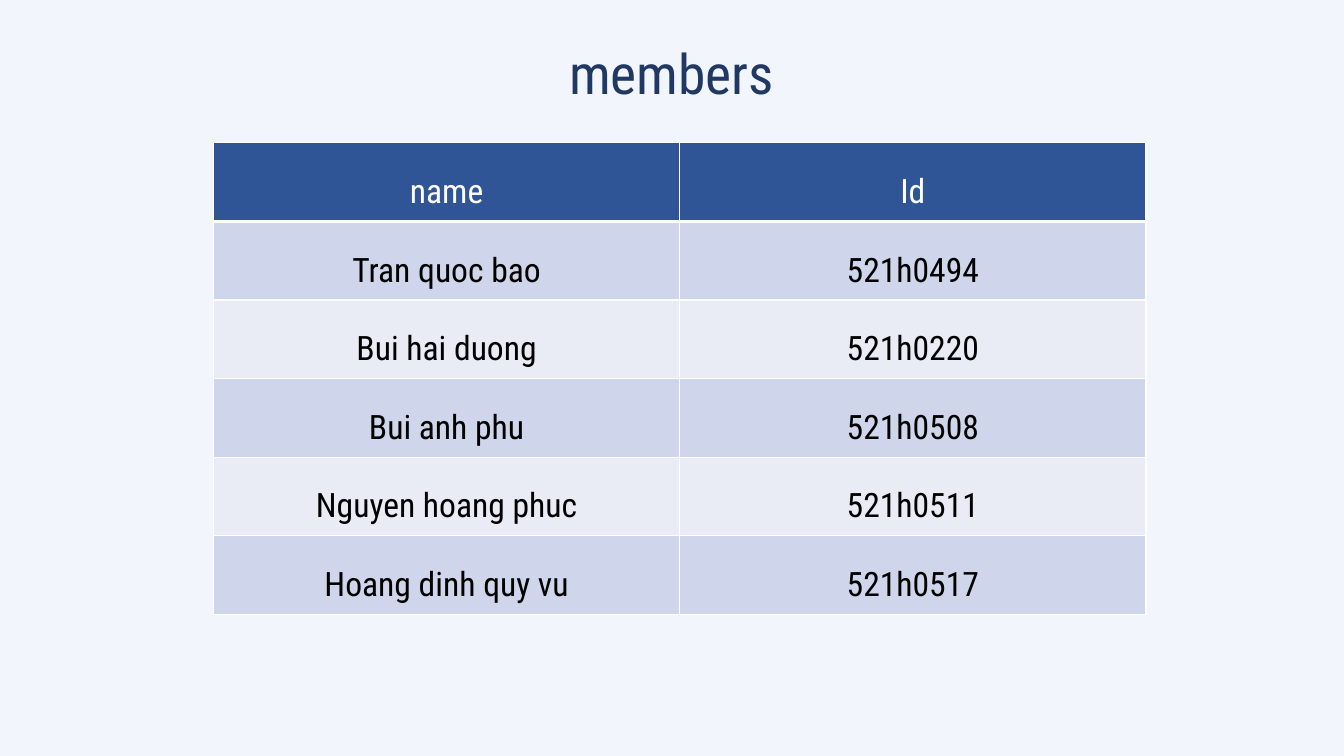
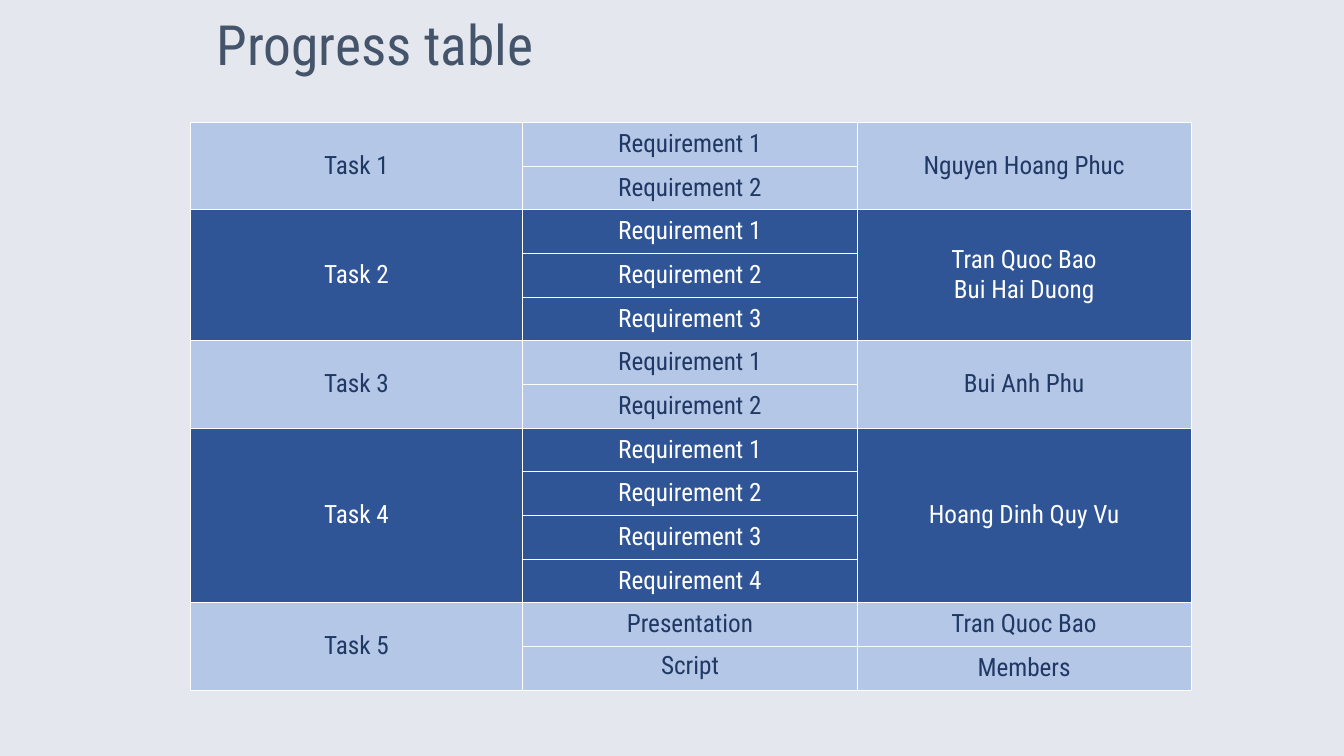
from lxml.etree import SubElement
from pptx import Presentation
from pptx.dml.color import RGBColor
from pptx.enum.text import MSO_ANCHOR, PP_ALIGN
from pptx.oxml.ns import qn
from pptx.util import Cm, Pt

FONT = "Roboto Condensed"
WHITE = RGBColor(0xFF, 0xFF, 0xFF)
BLACK = RGBColor(0x00, 0x00, 0x00)
NAVY = RGBColor(0x20, 0x38, 0x64)
SLATE = RGBColor(0x44, 0x54, 0x6A)
BLUE = RGBColor(0x2F, 0x55, 0x97)
LIGHT_BLUE = RGBColor(0xB4, 0xC7, 0xE7)
BAND_DARK = RGBColor(0xCF, 0xD5, 0xEA)
BAND_LIGHT = RGBColor(0xE9, 0xEB, 0xF5)
PALE_BLUE = RGBColor(0xF2, 0xF5, 0xFB)
PALE_GREY = RGBColor(0xE4, 0xE8, 0xEE)


def write(frame, text, size=18, color=NAVY, spacing=1.0):
    """Fill a text frame with centred paragraphs, one per line of text."""
    frame.text = text
    for paragraph in frame.paragraphs:
        paragraph.alignment = PP_ALIGN.CENTER
        paragraph.line_spacing = spacing
        font = paragraph.runs[0].font
        font.name, font.size, font.bold = FONT, Pt(size), False
        font.color.rgb = color


def style_cell(cell, fill, width, top=None, bottom=None):
    """Give a cell white borders (points), a fill and middle anchoring."""
    properties = cell._tc.get_or_add_tcPr()
    edges = {"L": width, "R": width, "T": top or width, "B": bottom or width}
    for edge, points in edges.items():
        line = SubElement(properties, qn(f"a:ln{edge}"), w=str(int(Pt(points))))
        SubElement(SubElement(line, qn("a:solidFill")), qn("a:srgbClr"), val=str(WHITE))
    cell.fill.solid()
    cell.fill.fore_color.rgb = fill
    cell.vertical_anchor = MSO_ANCHOR.MIDDLE


members = [
    ("name", "Id"),
    ("Tran quoc bao", "521h0494"),
    ("Bui hai duong", "521h0220"),
    ("Bui anh phu", "521h0508"),
    ("Nguyen hoang phuc", "521h0511"),
    ("Hoang dinh quy vu", "521h0517"),
]
# Each task: its parts and the people in charge; one entry of people covers all parts.
requirements = [f"Requirement {number}" for number in range(1, 5)]
tasks = [
    (requirements[:2], ["Nguyen Hoang Phuc"]),
    (requirements[:3], ["Tran Quoc Bao\nBui Hai Duong"]),
    (requirements[:2], ["Bui Anh Phu"]),
    (requirements, ["Hoang Dinh Quy Vu"]),
    (["Presentation", "Script"], ["Tran Quoc Bao", "Members"]),
]
pages = [
    # title, title colour, background, title box, table left, top, columns, rows, row height
    ("members", NAVY, PALE_BLUE, (9.02, 1.04, 15.82, 1.8),
     5.38, 3.6, (11.75, 11.75), len(members), 1.98),
    ("Progress table", SLATE, PALE_GREY, (4.8, 0.3, 9.3, 1.8),
     4.8, 3.08, (8.37, 8.44, 8.4), sum(len(parts) for parts, _ in tasks), 1.1),
]

presentation = Presentation()
presentation.slide_width = Cm(33.87)
presentation.slide_height = Cm(19.05)

tables = []
for heading, color, background, box, left, top, widths, rows, height in pages:
    slide = presentation.slides.add_slide(presentation.slide_layouts[5])
    slide.background.fill.solid()
    slide.background.fill.fore_color.rgb = background
    title = slide.shapes.title
    title.left, title.top, title.width, title.height = map(Cm, box)
    title.text_frame.vertical_anchor = MSO_ANCHOR.MIDDLE
    write(title.text_frame, heading, size=39.6, color=color, spacing=0.9)
    table = slide.shapes.add_table(rows, len(widths), Cm(left), Cm(top),
                                   Cm(sum(widths)), Cm(height * rows)).table
    table.horz_banding = False
    for column, width in zip(table.columns, widths):
        column.width = Cm(width)
    for row in table.rows:
        row.height = Cm(height)
    tables.append(table)
member_table, progress_table = tables

for row, entries in enumerate(members):
    for column, entry in enumerate(entries):
        cell = member_table.cell(row, column)
        if row == 0:
            style_cell(cell, BLUE, 1, bottom=3)
        else:
            style_cell(cell, BAND_DARK if row % 2 else BAND_LIGHT, 1,
                       top=3 if row == 1 else None)
        write(cell.text_frame, entry, size=24, color=BLACK if row else WHITE, spacing=1.5)

progress_table.first_row = False
first = 0
for number, (parts, people) in enumerate(tasks, start=1):
    fill, color = (LIGHT_BLUE, NAVY) if number % 2 else (BLUE, WHITE)
    last = first + len(parts) - 1
    for column, entries in enumerate(([f"Task {number}"], parts, people)):
        for row in range(first, last + 1):
            style_cell(progress_table.cell(row, column), fill, 0.25)
        for row, entry in enumerate(entries, start=first):
            write(progress_table.cell(row, column).text_frame, entry, color=color)
        if len(entries) == 1:
            progress_table.cell(first, column).merge(progress_table.cell(last, column))
    first = last + 1
progress_table.cell(first - 1, 1).vertical_anchor = MSO_ANCHOR.TOP

presentation.save("out.pptx")
